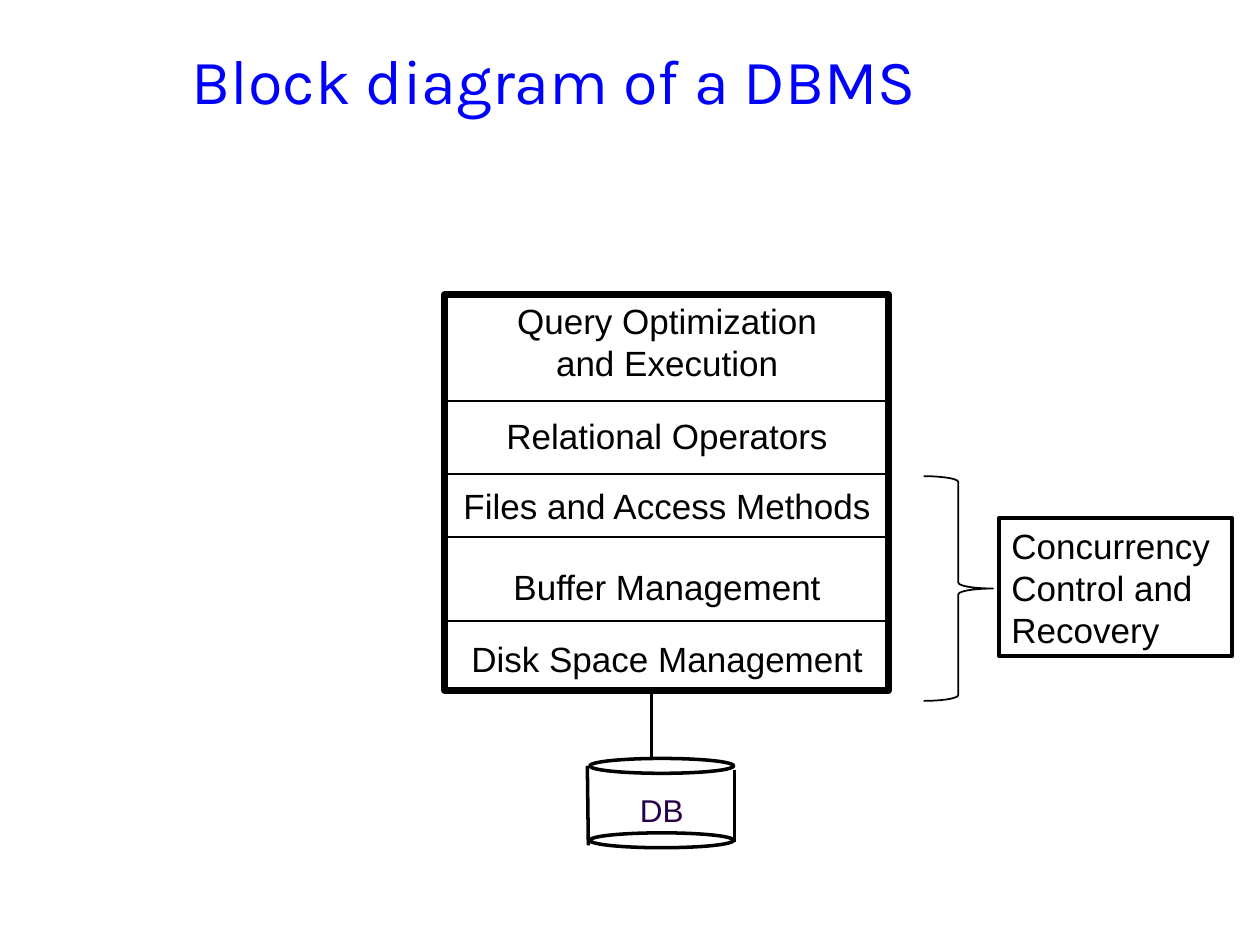
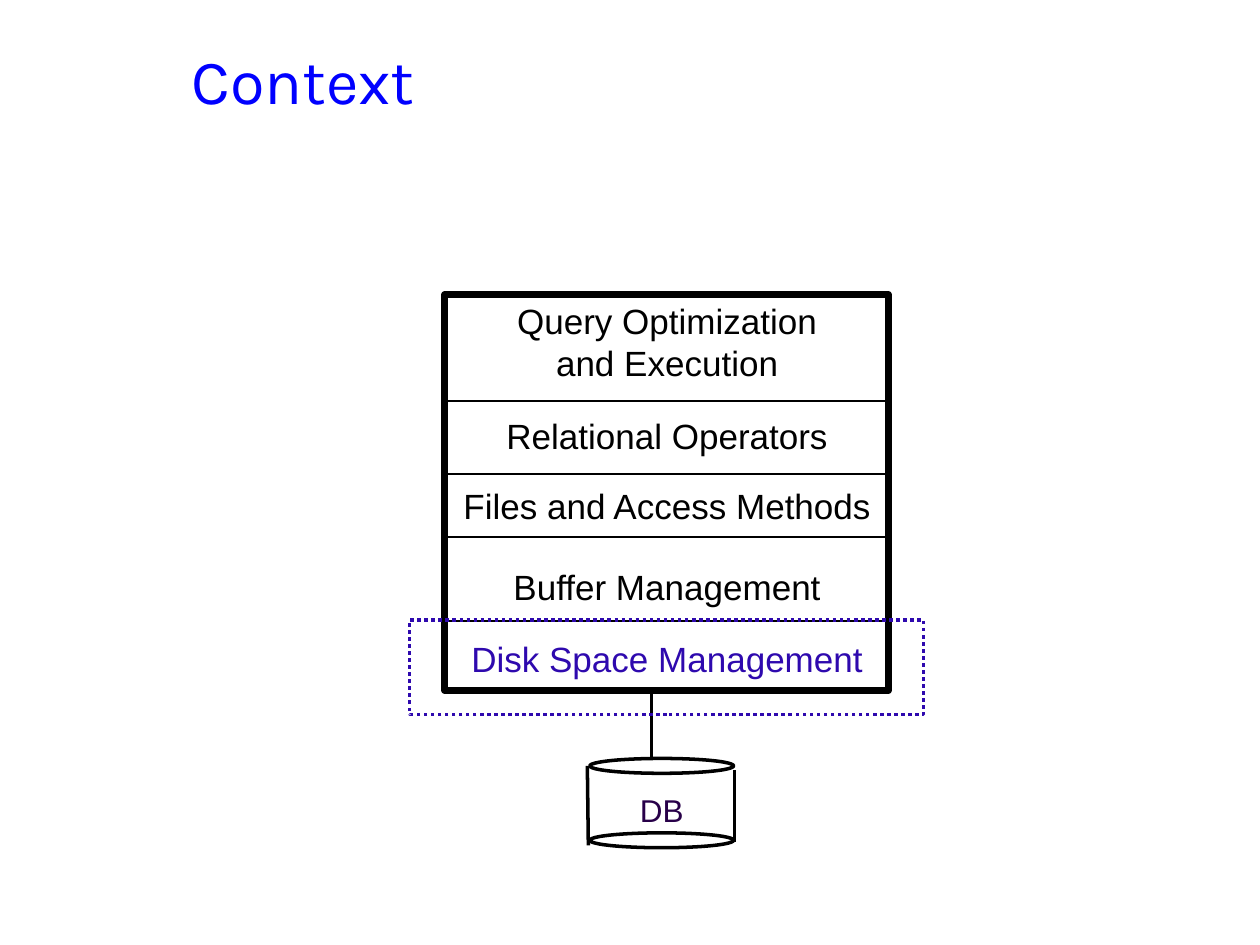
from dataclasses import dataclass

from lxml import etree
from pptx import Presentation
from pptx.dml.color import RGBColor
from pptx.enum.dml import MSO_LINE
from pptx.enum.shapes import MSO_CONNECTOR, MSO_SHAPE
from pptx.enum.text import MSO_ANCHOR, MSO_AUTO_SIZE, PP_ALIGN
from pptx.oxml.ns import qn
from pptx.util import Cm, Pt

RECTANGLE, ELLIPSE, BRACE = MSO_SHAPE.RECTANGLE, MSO_SHAPE.OVAL, MSO_SHAPE.RIGHT_BRACE
STRAIGHT = MSO_CONNECTOR.STRAIGHT
DOTTED = MSO_LINE.ROUND_DOT
LEFT, CENTER = PP_ALIGN.LEFT, PP_ALIGN.CENTER
TOP, MIDDLE = MSO_ANCHOR.TOP, MSO_ANCHOR.MIDDLE
TITLE_ONLY = 5


@dataclass(frozen=True)
class Theme:
    title_color: RGBColor = RGBColor(0x00, 0x00, 0xFF)
    ink: RGBColor = RGBColor(0x00, 0x00, 0x00)
    database: RGBColor = RGBColor(0x28, 0x00, 0x49)
    focus: RGBColor = RGBColor(0x2E, 0x09, 0xAE)
    title_font: str = "Karla"
    body_font: str = "Arial"
    title_size: int = 36
    label_size: int = 20
    database_size: int = 18
    thin: float = 1
    medium: float = 2
    box: float = 2.25
    frame: float = 4


THEME = Theme()

# Layers of the system, top to bottom: label, top, width, height (cm)
LAYERS = [
    ("Query Optimization\nand Execution", 5.92, 6.55, 1.96),
    ("Relational Operators", 8.23, 7.01, 1.09),
    ("Files and Access Methods", 9.65, 8.76, 1.09),
    ("Buffer Management", 11.28, 6.73, 1.09),
    ("Disk Space Management", 12.73, 8.41, 1.09),
]
DIVIDERS = [8.08, 9.55, 10.82, 12.52]
STACK_CENTER = 13.45


def format_text(frame, font, size, color, align=LEFT):
    for paragraph in frame.paragraphs:
        paragraph.alignment = align
        for run in paragraph.runs:
            run.font.name = font
            run.font.size = Pt(size)
            run.font.color.rgb = color


def fill_label(shape, text, size=THEME.label_size, color=THEME.ink, align=LEFT):
    frame = shape.text_frame
    frame.text = text
    frame.word_wrap = False
    frame.auto_size = MSO_AUTO_SIZE.SHAPE_TO_FIT_TEXT
    frame.vertical_anchor = TOP
    format_text(frame, THEME.body_font, size, color, align)


def add_label(slide, text, left, top, width, height, **style):
    label = slide.shapes.add_textbox(Cm(left), Cm(top), Cm(width), Cm(height))
    fill_label(label, text, **style)


def add_outline(slide, kind, left, top, width, height, weight, color=THEME.ink):
    outline = slide.shapes.add_shape(kind, Cm(left), Cm(top), Cm(width), Cm(height))
    outline.shadow.inherit = False
    outline.fill.background()
    outline.line.color.rgb = color
    outline.line.width = Pt(weight)
    return outline


def add_line(slide, x1, y1, x2, y2, weight):
    line = slide.shapes.add_connector(STRAIGHT, Cm(x1), Cm(y1), Cm(x2), Cm(y2))
    line.line.color.rgb = THEME.ink
    line.line.width = Pt(weight)
    etree.SubElement(line.element.spPr, qn("a:effectLst"))


def add_titled_slide(deck, text):
    slide = deck.slides.add_slide(deck.slide_layouts[TITLE_ONLY])
    title = slide.shapes.title
    title.left, title.top, title.width, title.height = Cm(3.61), Cm(0), Cm(19.89), Cm(3.18)
    frame = title.text_frame
    frame.text = text
    frame.auto_size = MSO_AUTO_SIZE.NONE
    frame.vertical_anchor = MIDDLE
    format_text(frame, THEME.title_font, THEME.title_size, THEME.title_color)
    return slide


def add_layer_stack(slide, focus=None):
    for text, top, width, height in LAYERS:
        color = THEME.focus if text == focus else THEME.ink
        add_label(slide, text, STACK_CENTER - width / 2, top, width, height,
                  color=color, align=CENTER)
    add_outline(slide, RECTANGLE, 8.97, 5.94, 8.94, 7.98, THEME.frame)
    for y in DIVIDERS:
        add_line(slide, 8.89, y, 17.98, y, THEME.thin)


def add_database(slide):
    for rim_top in (15.29, 16.79):
        add_outline(slide, ELLIPSE, 11.89, rim_top, 2.9, 0.3, THEME.medium)
    add_line(slide, 11.84, 15.44, 11.86, 17.04, THEME.medium)
    add_line(slide, 14.81, 15.52, 14.81, 16.97, THEME.medium)
    add_label(slide, "DB", 12.65, 15.82, 1.4, 1.02,
              size=THEME.database_size, color=THEME.database)
    # Link between the stack and the database
    add_line(slide, 13.13, 14, 13.13, 15.27, THEME.medium)


def add_concurrency_note(slide):
    add_outline(slide, BRACE, 18.62, 9.6, 1.4, 4.53, THEME.thin)
    note = add_outline(slide, RECTANGLE, 20.14, 10.44, 4.7, 2.79, THEME.box)
    fill_label(note, "Concurrency\nControl and\nRecovery")


def add_focus_frame(slide):
    focus_frame = add_outline(slide, RECTANGLE, 8.26, 12.5, 10.36, 1.91,
                              THEME.medium, THEME.focus)
    focus_frame.line.dash_style = DOTTED


def main():
    deck = Presentation()
    deck.slide_width, deck.slide_height = Cm(25.4), Cm(19.05)

    # Whole system
    overview = add_titled_slide(deck, "Block diagram of a DBMS")
    add_layer_stack(overview)
    add_database(overview)
    add_concurrency_note(overview)

    # Bottom layer in focus
    context = add_titled_slide(deck, "Context")
    add_layer_stack(context, focus="Disk Space Management")
    add_database(context)
    add_focus_frame(context)

    deck.save("out.pptx")


if __name__ == "__main__":
    main()
